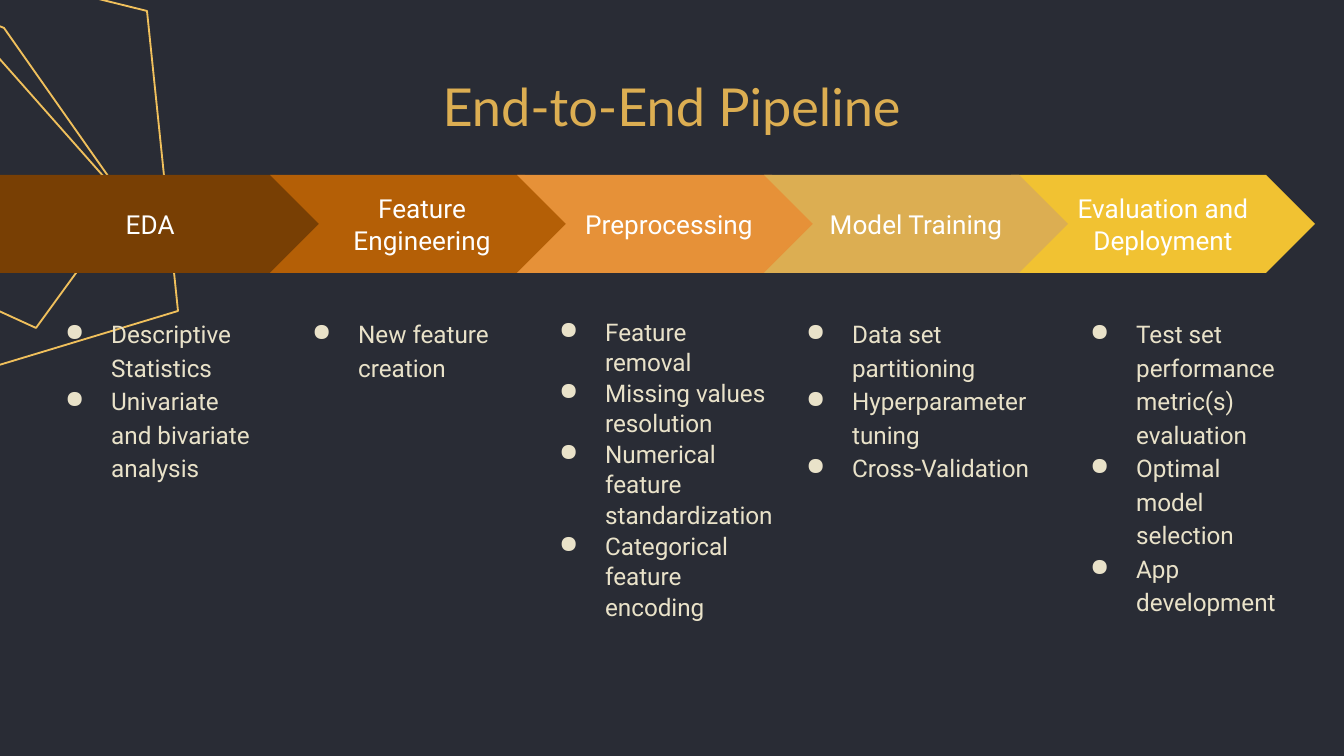
import pptx
import pptx.dml.color
import pptx.enum.shapes
import pptx.enum.text
import pptx.oxml
import pptx.oxml.ns
import pptx.util

SCALE = 914400 / 134.4  # EMU in one px
STEP = 247  # distance from one stage to the next
CREAM = "E9E2C9"

# Name, colour, bullet column left, column width, line spacing, bullets
STAGES = [
    ("EDA", "783F04", 31, 239, 1.15,
     ["Descriptive Statistics", "Univariate and bivariate analysis"]),
    ("Feature Engineering", "B45F06", 31 + STEP, 239, 1.15,
     ["New feature creation"]),
    ("Preprocessing", "E69138", 31 + 2 * STEP, 263, 1.05,
     ["Feature removal", "Missing values resolution",
      "Numerical feature standardization", "Categorical feature encoding"]),
    ("Model Training", "DCAE52", 31 + 3 * STEP, 276, 1.15,
     ["Data set partitioning", "Hyperparameter tuning", "Cross-Validation"]),
    ("Evaluation and Deployment", "F1C232", 1056, 239, 1.15,
     ["Test set performance metric(s) evaluation",
      "Optimal model selection", "App development"]),
]

# Corners of the decorative outlines, which run past the left edge
OUTLINES = [
    [(178, 311), (-24, 372), (-222, 128), (-251, -34), (-152, -63), (147, 11)],
    [(127, 203), (36, 328), (-364, 145), (-348, -117), (4, 28)],
    [(127, 203), (-239, 369), (-349, -116), (-140, -99)],
]


def px(length):
    return pptx.util.Emu(round(length * SCALE))


def color(value):
    return pptx.dml.color.RGBColor.from_string(value)


def style_frame(frame, middle=False):
    frame.word_wrap = True
    frame.margin_left = frame.margin_right = pptx.util.Inches(0.1)
    frame.margin_top = frame.margin_bottom = pptx.util.Inches(0.1)
    anchors = pptx.enum.text.MSO_ANCHOR
    frame.vertical_anchor = anchors.MIDDLE if middle else anchors.TOP


def style_font(font, name, size, value):
    font.name = name
    font.size = pptx.util.Pt(size)
    font.color.rgb = color(value)


def set_label(frame, text, font_name, size, value):
    style_frame(frame, middle=True)
    frame.text = text
    para = frame.paragraphs[0]
    para.alignment = pptx.enum.text.PP_ALIGN.CENTER
    style_font(para.runs[0].font, font_name, size, value)


def add_outline(page, points):
    builder = page.shapes.build_freeform(*points[0], scale=SCALE)
    builder.add_line_segments(points[1:], close=True)
    shape = builder.convert_to_shape()
    shape.shadow.inherit = False
    shape.fill.background()
    shape.line.color.rgb = color("F0C05C")
    shape.line.width = pptx.util.Pt(1)


def add_title(page, text):
    box = page.shapes.add_textbox(px(422), px(74), px(499), px(63))
    set_label(box.text_frame, text, "Lato", 28, "DCAE52")


def add_arrow(page, index, name, fill):
    kinds = pptx.enum.shapes.MSO_SHAPE
    if index == 0:
        kind, left, width = kinds.PENTAGON, 0, 325
    else:
        kind, left, width = kinds.CHEVRON, 23 + STEP * index, 304
    arrow = page.shapes.add_shape(kind, px(left), px(175), px(width), px(98))
    arrow.adjustments[0] = 0.5
    arrow.shadow.inherit = False
    arrow.fill.solid()
    arrow.fill.fore_color.rgb = color(fill)
    arrow.line.fill.background()
    set_label(arrow.text_frame, name, "Roboto", 14, "FFFFFF")


def add_bullet(para):
    properties = para._p.get_or_add_pPr()
    properties.set("marL", str(px(67)))
    properties.set("indent", str(-px(46)))
    bullet_color = pptx.oxml.parse_xml(
        f'<a:buClr {pptx.oxml.ns.nsdecls("a")}><a:srgbClr val="{CREAM}"/></a:buClr>')
    bullet = pptx.oxml.parse_xml(
        f'<a:buChar {pptx.oxml.ns.nsdecls("a")} char="●"/>')
    properties.extend([bullet_color, bullet])


def add_bullet_list(page, left, width, spacing, items):
    box = page.shapes.add_textbox(px(left), px(302), px(width), px(345))
    frame = box.text_frame
    style_frame(frame)
    frame.text = "\n".join(items)
    for para in frame.paragraphs:
        add_bullet(para)
        para.line_spacing = spacing
        style_font(para.runs[0].font, "Roboto", 13, CREAM)


def main():
    deck = pptx.Presentation()
    deck.slide_width, deck.slide_height = px(1344), px(756)
    page = deck.slides.add_slide(deck.slide_layouts[6])
    page.background.fill.solid()
    page.background.fill.fore_color.rgb = color("292C35")

    # Decoration and title
    for points in OUTLINES:
        add_outline(page, points)
    add_title(page, "End-to-End Pipeline")

    # Stages; the last arrow lies beneath the one before it
    for index in (0, 1, 2, 4, 3):
        name, fill, left, width, spacing, items = STAGES[index]
        add_arrow(page, index, name, fill)
        add_bullet_list(page, left, width, spacing, items)

    deck.save("out.pptx")


if __name__ == "__main__":
    main()
